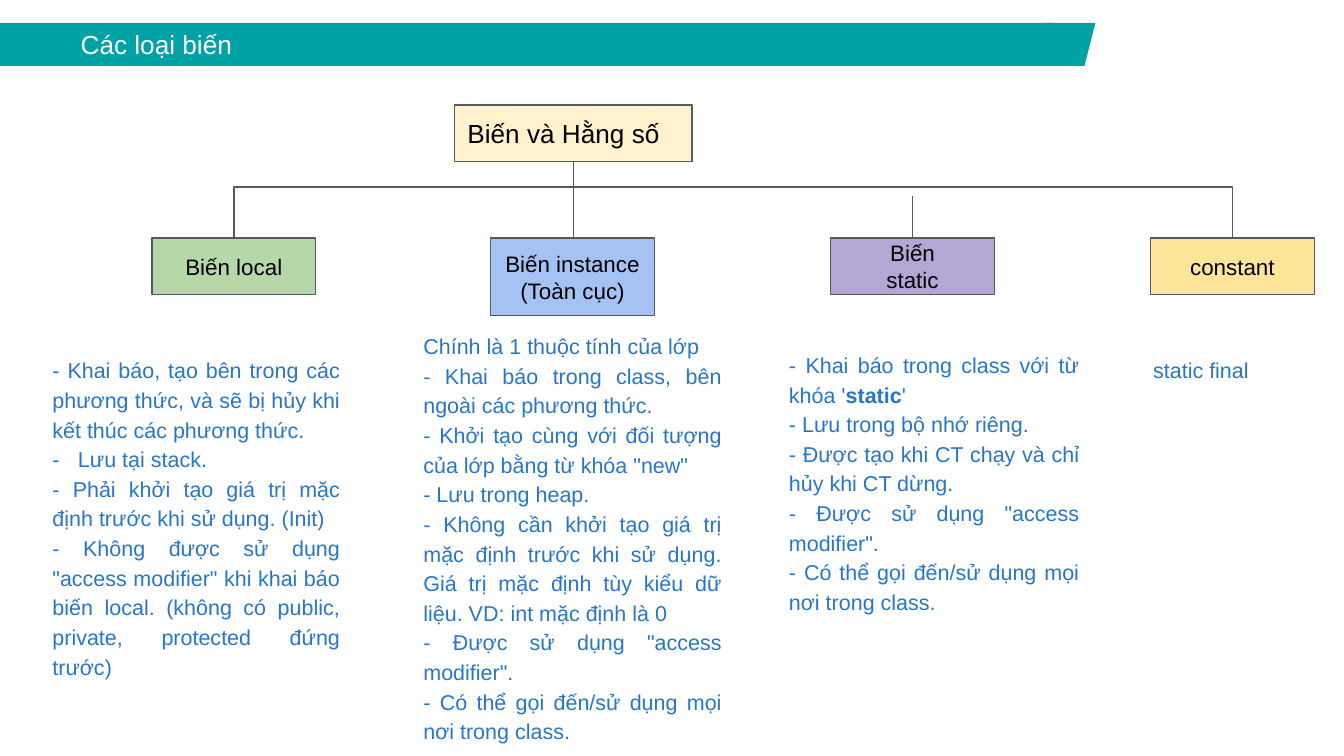
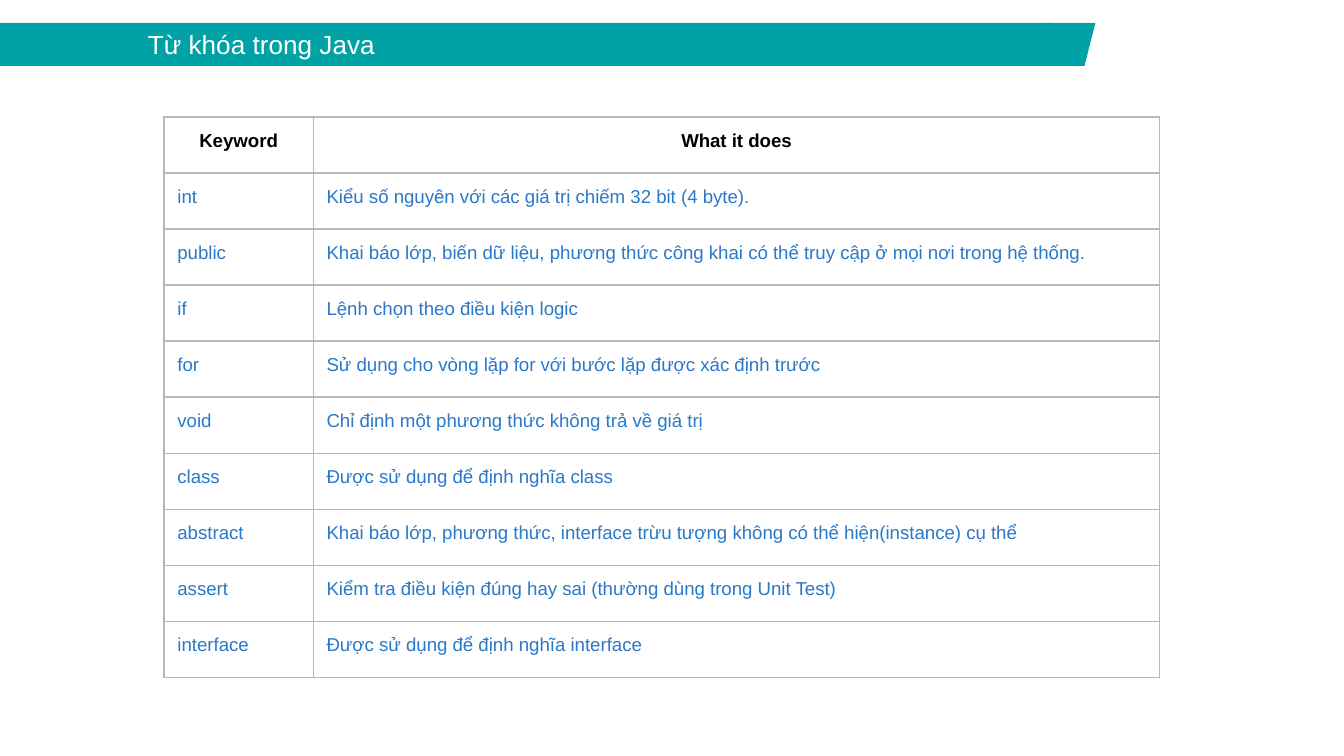
from dataclasses import dataclass
from typing import Iterable, Optional

from lxml.etree import SubElement
from pptx import Presentation
from pptx.dml.color import RGBColor
from pptx.enum.shapes import MSO_CONNECTOR as Link, MSO_SHAPE as Shape
from pptx.enum.text import MSO_ANCHOR as Anchor, MSO_AUTO_SIZE as AutoSize, PP_ALIGN as Align
from pptx.oxml import parse_xml
from pptx.oxml.ns import nsdecls, qn
from pptx.util import Emu, Inches, Pt


@dataclass(frozen=True)
class Theme:
    font: str = "Arial"
    band: str = "01A2A6"
    white: str = "FFFFFF"
    ink: str = "000000"
    outline: str = "595959"
    note: str = "2876C9"
    cell: str = "2A78CA"
    grid: str = "B7B7B7"
    title_size: float = 14
    node_size: float = 12
    note_size: float = 11.5
    cell_size: float = 10
    line_width: float = 0.75
    inset: float = 0.1


THEME = Theme()
COMPARISON, TITLE_ONLY = 4, 5
NODE_TOP, NODE_WIDTH, NODE_HEIGHT = 1.77, 1.22, 0.42
BUS_TOP = 1.39


@dataclass(frozen=True)
class Node:
    lines: tuple[str, ...]
    fill: str
    left: float
    top: float = NODE_TOP
    width: float = NODE_WIDTH
    height: float = NODE_HEIGHT
    size: float = THEME.node_size
    align: Align = Align.CENTER

    @property
    def centre(self) -> float:
        return self.left + self.width / 2


@dataclass(frozen=True)
class Note:
    left: float
    top: float
    width: float
    height: float
    lines: tuple[str, ...]


ROOT = Node(("Biến và Hằng số",), "FFF2CC", 3.38, 0.78, 1.77,
            size=THEME.title_size, align=Align.LEFT)
LOCAL = Node(("Biến local",), "B6D7A8", 1.13)
INSTANCE = Node(("Biến instance", "(Toàn cục)"), "A4C2F4", 3.65, height=0.58)
STATIC = Node(("Biến", "static"), "B4A7D6", 6.18)
CONSTANT = Node(("constant",), "FFE599", 8.56)

ACCESS = '- Được sử dụng "access modifier".'
CALL = "- Có thể gọi đến/sử dụng mọi nơi trong class."
NOTES = (
    Note(0.29, 2.53, 2.34, 2.81, (
        "- Khai báo, tạo bên trong các phương thức, và sẽ bị hủy khi kết thúc các phương thức.",
        "-\tLưu tại stack.",
        "- Phải khởi tạo giá trị mặc định trước khi sử dụng. (Init)",
        '- Không được sử dụng "access modifier" khi khai báo biến local. '
        "(không có public, private, protected đứng trước)",
    )),
    Note(3.05, 2.35, 2.42, 3.13, (
        "Chính là 1 thuộc tính của lớp",
        "- Khai báo trong class, bên ngoài các phương thức.",
        '- Khởi tạo cùng với đối tượng của lớp bằng từ khóa "new"',
        "- Lưu trong heap.",
        "- Không cần khởi tạo giá trị mặc định trước khi sử dụng. "
        "Giá trị mặc định tùy kiểu dữ liệu. VD: int mặc định là 0",
        ACCESS,
        CALL,
    )),
    Note(5.77, 2.49, 2.36, 2.66, (
        "- Khai báo trong class với từ khóa '**static**'",
        "- Lưu trong bộ nhớ riêng.",
        "- Được tạo khi CT chạy và chỉ hủy khi CT dừng.",
        ACCESS,
        CALL,
    )),
    Note(8.48, 2.53, 1.1, 0.49, ("static final",)),
)

KEYWORDS = (
    ("Keyword", "What it does"),
    ("int", "Kiểu số nguyên với các giá trị chiếm 32 bit (4 byte)."),
    ("public", "Khai báo lớp, biến dữ liệu, phương thức công khai có thể truy cập "
               "ở mọi nơi trong hệ thống."),
    ("if", "Lệnh chọn theo điều kiện logic"),
    ("for", "Sử dụng cho vòng lặp for với bước lặp được xác định trước"),
    ("void", "Chỉ định một phương thức không trả về giá trị"),
    ("class", "Được sử dụng để định nghĩa class"),
    ("abstract", "Khai báo lớp, phương thức, interface trừu tượng không có thể hiện(instance) cụ thể"),
    ("assert", "Kiểm tra điều kiện đúng hay sai (thường dùng trong Unit Test)"),
    ("interface", "Được sử dụng để định nghĩa interface"),
)


def rgb(value: str) -> RGBColor:
    return RGBColor.from_string(value)


def write(frame, lines: Iterable[str], *, size: float, color: str, bold: bool = False,
          align: Align = Align.LEFT, spacing: float = 1.0, hang: float = 0) -> None:
    """Fill a text frame, one paragraph a line; ** marks bold, a tab jumps to the hanging indent."""
    for index, line in enumerate(lines):
        para = frame.paragraphs[0] if index == 0 else frame.add_paragraph()
        para.alignment, para.line_spacing, para.space_before = align, spacing, Pt(0)
        indent = Inches(hang) if "\t" in line else 0
        props = para._p.get_or_add_pPr()
        props.set("marL", str(int(indent)))
        props.set("indent", str(-int(indent)))
        SubElement(props, qn("a:buNone"))
        for part, text in enumerate(line.split("**")):
            span = para.add_run()
            span.text = text
            span.font.name, span.font.size = THEME.font, Pt(size)
            span.font.bold = bold or part % 2 == 1
            span.font.color.rgb = rgb(color)


def set_insets(target) -> None:
    target.margin_left = target.margin_right = Inches(THEME.inset)
    target.margin_top = target.margin_bottom = Inches(THEME.inset)


def prepare_frame(box, anchor: Anchor):
    frame = box.text_frame
    frame.word_wrap, frame.auto_size = True, AutoSize.NONE
    frame.vertical_anchor = anchor
    set_insets(frame)
    return frame


def place(box, left: float, top: float, width: float, height: float) -> None:
    box.left, box.top = Inches(left), Inches(top)
    box.width, box.height = Inches(width), Inches(height)


def paint(box, fill: str, line: Optional[str] = None) -> None:
    box.fill.solid()
    box.fill.fore_color.rgb = rgb(fill)
    if line:
        box.line.color.rgb = rgb(line)
        box.line.width = Pt(THEME.line_width)
    else:
        box.line.fill.background()


def add_page(deck, layout: int, title: str, indent: float):
    """Add a slide with its title band; indent shifts the title text."""
    page = deck.slides.add_slide(deck.slide_layouts[layout])
    band = page.shapes.title
    place(band, 0, 0.17, 7.82, 0.32)
    paint(band, THEME.band)
    frame = prepare_frame(band, Anchor.MIDDLE)
    frame.margin_left = Inches(THEME.inset + indent)
    write(frame, [title], size=THEME.title_size, color=THEME.white)
    tip = page.shapes.add_shape(Shape.PARALLELOGRAM, Inches(7.7), Inches(0.17),
                                Inches(0.45), Inches(0.32))
    tip.shadow.inherit = False
    paint(tip, THEME.band)
    return page


def add_node(page, node: Node) -> None:
    box = page.shapes.add_shape(Shape.RECTANGLE, Inches(node.left), Inches(node.top),
                                Inches(node.width), Inches(node.height))
    box.shadow.inherit = False
    paint(box, node.fill, THEME.outline)
    write(prepare_frame(box, Anchor.MIDDLE), node.lines, size=node.size,
          color=THEME.ink, align=node.align)


def add_link(page, kind: Link, start: tuple[float, float], end: tuple[float, float]):
    link = page.shapes.add_connector(kind, *map(Inches, start + end))
    link.line.color.rgb = rgb(THEME.outline)
    link.line.width = Pt(THEME.line_width)
    SubElement(link._element.spPr, qn("a:effectLst"))
    return link


def add_bracket(page, first: Node, last: Node) -> None:
    """Join two node tops by an elbow that rises to the bus line, as a quarter-turned connector."""
    depth, span = 0.01, last.centre - first.centre
    middle = (first.centre + last.centre) / 2
    link = add_link(page, Link.ELBOW, (middle + depth / 2, NODE_TOP - span / 2),
                    (middle - depth / 2, NODE_TOP + span / 2))
    props = link._element.spPr
    props.find(qn("a:xfrm")).set("rot", str(270 * 60000))
    geometry = props.find(qn("a:prstGeom"))
    guides = geometry.find(qn("a:avLst"))
    if guides is None:
        guides = SubElement(geometry, qn("a:avLst"))
    rise = round((BUS_TOP - NODE_TOP) / depth * 100000)
    SubElement(guides, qn("a:gd"), name="adj1", fmla=f"val {rise}")


def add_variable_page(deck) -> None:
    page = add_page(deck, COMPARISON, "Các loại biến", 0.5)
    bodies = [box for box in page.placeholders if box.placeholder_format.idx > 0]
    for body, note in zip(bodies, NOTES):
        place(body, note.left, note.top, note.width, note.height)
        write(prepare_frame(body, Anchor.TOP), note.lines, size=THEME.note_size,
              color=THEME.note, align=Align.JUSTIFY, spacing=1.15, hang=0.19)
    add_bracket(page, LOCAL, CONSTANT)
    add_link(page, Link.STRAIGHT, (ROOT.centre, ROOT.top + ROOT.height),
             (ROOT.centre, NODE_TOP))
    add_link(page, Link.STRAIGHT, (STATIC.centre, NODE_TOP), (STATIC.centre, 1.46))
    for node in (ROOT, LOCAL, INSTANCE, STATIC, CONSTANT):
        add_node(page, node)


def add_borders(cell) -> None:
    props = cell._tc.get_or_add_tcPr()
    for index, side in enumerate(("lnL", "lnR", "lnT", "lnB")):
        props.insert(index, parse_xml(
            f'<a:{side} {nsdecls("a")} w="{Pt(THEME.line_width)}"><a:solidFill>'
            f'<a:srgbClr val="{THEME.grid}"/></a:solidFill></a:{side}>'))


def add_keyword_page(deck) -> None:
    page = add_page(deck, TITLE_ONLY, "Từ khóa trong Java", 1.0)
    widths, height = (1.11, 6.3), 4.17
    table = page.shapes.add_table(len(KEYWORDS), len(widths), Inches(1.22), Inches(0.87),
                                  Inches(sum(widths)), Inches(height)).table
    table.first_row = table.horz_banding = False
    for column, width in zip(table.columns, widths):
        column.width = Inches(width)
    for index, (row, texts) in enumerate(zip(table.rows, KEYWORDS)):
        row.height = Emu(Inches(height) // len(KEYWORDS))
        header = index == 0
        for cell, text in zip(row.cells, texts):
            set_insets(cell)
            cell.fill.background()
            add_borders(cell)
            write(cell.text_frame, [text], size=THEME.cell_size, bold=header,
                  color=THEME.ink if header else THEME.cell,
                  align=Align.CENTER if header else Align.LEFT)


def main() -> None:
    deck = Presentation()
    deck.slide_width, deck.slide_height = Inches(10), Inches(10 * 9 / 16)
    add_variable_page(deck)
    add_keyword_page(deck)
    deck.save("out.pptx")


if __name__ == "__main__":
    main()
